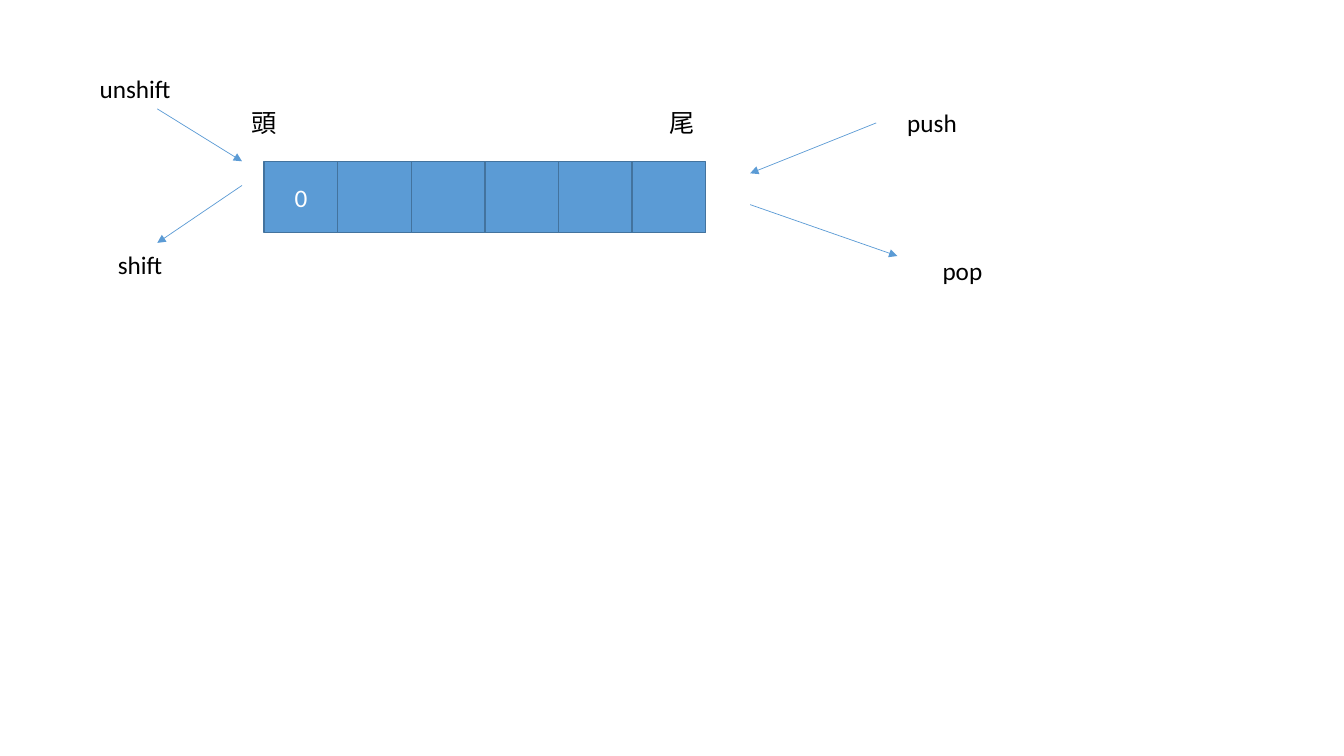
from dataclasses import dataclass

from lxml import etree
from pptx import Presentation
from pptx import util as u
from pptx.dml.color import RGBColor
from pptx.enum import shapes, text
from pptx.oxml import ns


@dataclass(frozen=True)
class Theme:
    fill: RGBColor = RGBColor(0x5B, 0x9B, 0xD5)
    border: RGBColor = RGBColor(0x43, 0x73, 0x9E)
    ink: RGBColor = RGBColor(0, 0, 0)
    light: RGBColor = RGBColor(255, 255, 255)
    size: u.Pt = u.Pt(18)
    latin: str = "Calibri"
    cjk: str = "Noto Sans CJK SC"


theme = Theme()


def add_run(p, words, color, font):
    r = p.add_run()
    r.text = words
    r.font.size = theme.size
    r.font.name = font
    r.font.color.rgb = color
    etree.SubElement(r.font._element, ns.qn("a:ea"), typeface=theme.cjk)


prs = Presentation()
prs.slide_width = u.Inches(13.33)
prs.slide_height = u.Inches(7.5)
s = prs.slides.add_slide(prs.slide_layouts[6])

cell_width = 0.73
for i in range(6):
    sp = s.shapes.add_shape(
        shapes.MSO_SHAPE.RECTANGLE,
        u.Inches(2.62 + i * cell_width), u.Inches(1.6),
        u.Inches(cell_width), u.Inches(0.71),
    )
    sp.shadow.inherit = False
    sp.fill.solid()
    sp.fill.fore_color.rgb = theme.fill
    sp.line.color.rgb = theme.border
    sp.line.width = u.Pt(1)
    if i == 0:
        tf = sp.text_frame
        tf.vertical_anchor = text.MSO_ANCHOR.MIDDLE
        p = tf.paragraphs[0]
        p.alignment = text.PP_ALIGN.CENTER
        add_run(p, "0", theme.light, theme.latin)

labels = [
    ("頭", 2.4, 1.02, 0.45, theme.cjk),
    ("尾", 6.54, 1.02, 0.45, theme.cjk),
    ("push", 8.9, 1.02, 0.7, theme.latin),
    ("pop", 9.25, 2.48, 0.6, theme.latin),
    ("shift", 1.07, 2.42, 0.65, theme.latin),
    ("unshift", 0.89, 0.68, 0.92, theme.latin),
]
for words, left, top, width, font in labels:
    sp = s.shapes.add_textbox(
        u.Inches(left), u.Inches(top), u.Inches(width), u.Inches(0.4)
    )
    tf = sp.text_frame
    tf.word_wrap = False
    tf.auto_size = text.MSO_AUTO_SIZE.SHAPE_TO_FIT_TEXT
    add_run(tf.paragraphs[0], words, theme.ink, font)

arrows = [
    (8.69, 1.22, 7.44, 1.72),
    (7.44, 2.03, 8.9, 2.54),
    (2.4, 1.84, 1.56, 2.41),
    (1.56, 1.08, 2.4, 1.6),
]
for ends in arrows:
    arrow = s.shapes.add_connector(
        shapes.MSO_CONNECTOR.STRAIGHT, *[u.Inches(v) for v in ends]
    )
    arrow.line.color.rgb = theme.fill
    arrow.line.width = u.Pt(0.5)
    etree.SubElement(arrow.line._get_or_add_ln(), ns.qn("a:tailEnd"), type="triangle")
    etree.SubElement(arrow._element.spPr, ns.qn("a:effectLst"))

prs.save("out.pptx")
